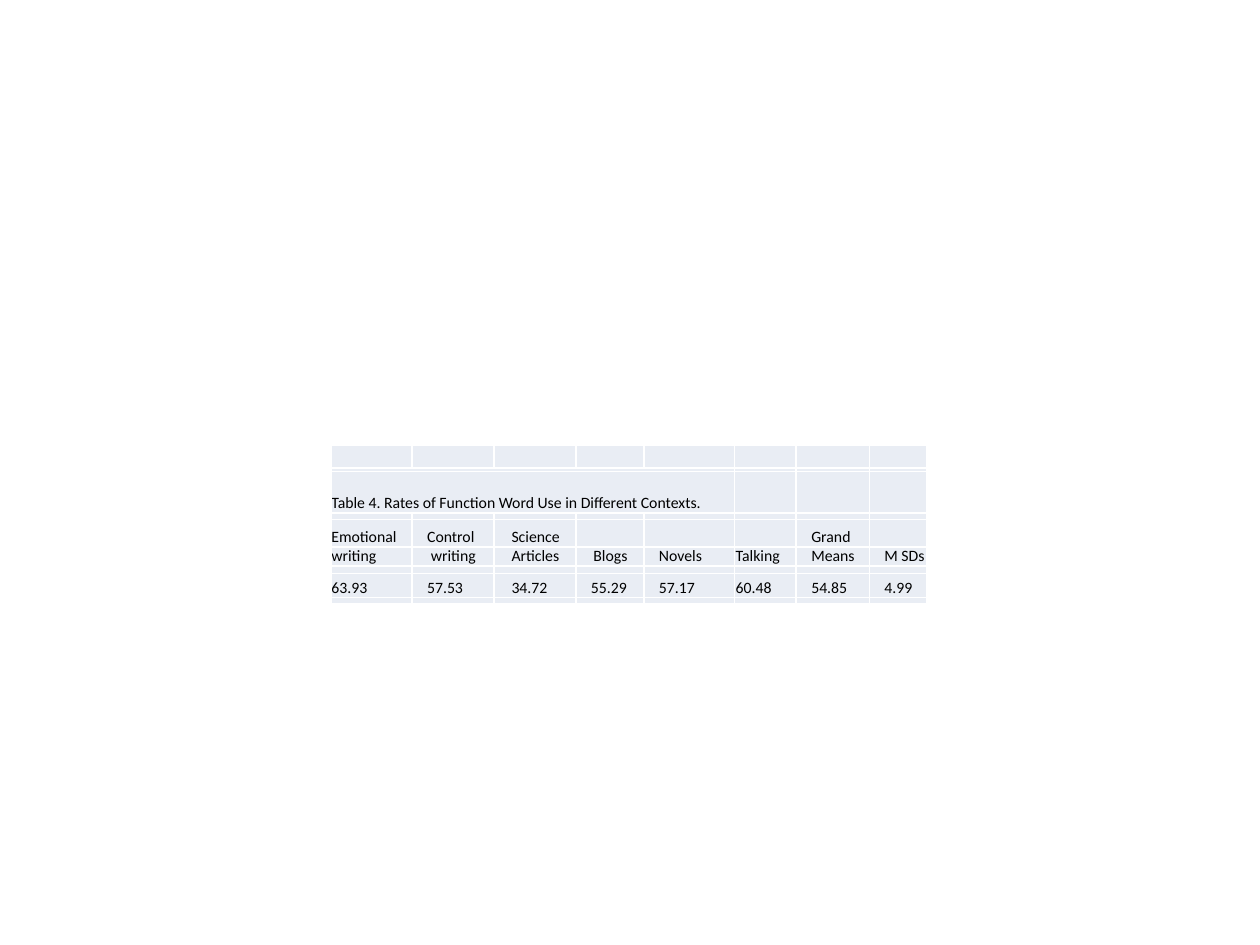
from lxml import etree
from pptx import Presentation, util as u
from pptx.dml.color import RGBColor
from pptx.enum import text
from pptx.oxml import ns

PALE_BLUE = RGBColor(0xE9, 0xED, 0xF4)
WHITE = RGBColor(0xFF, 0xFF, 0xFF)
BLACK = RGBColor(0, 0, 0)
SLIDE_WIDTH, SLIDE_HEIGHT = u.Inches(10), u.Inches(7.5)
TABLE_LEFT, TABLE_TOP = 0.263, 0.471
COLUMN_WIDTHS = [0.64, 0.65, 0.65, 0.54, 0.72, 0.49, 0.58, 0.46]
ROW_HEIGHTS = [0.18, 0.03, 0.33, 0.05, 0.22, 0.15, 0.06, 0.19, 0.05]
INDENTS = [0, 0.12, 0.14, 0.12, 0.12, 0.01, 0.12, 0.12]
CAPTION = "Table 4. Rates of Function Word Use in Different Contexts."
CAPTION_ROW, CAPTION_SPAN = 2, 5
CONTENT = {
    4: ["Emotional", "Control", "Science", "", "", "", "Grand", ""],
    5: ["writing", "writing", "Articles", "Blogs", "Novels", "Talking",
        "Means", "M SDs"],
    7: ["63.93", "57.53", "34.72", "55.29", "57.17", "60.48", "54.85", "4.99"],
}
SPECIAL_INDENTS = {(5, 1): 0.15, (5, 3): 0.14}


def add_borders(cell, color=WHITE, width=1):
    """Draw a solid line on each side of a cell."""
    properties = cell._tc.get_or_add_tcPr()
    for side in ("a:lnL", "a:lnR", "a:lnT", "a:lnB"):
        line = etree.SubElement(properties, ns.qn(side), w=str(u.Pt(width)))
        solid = etree.SubElement(line, ns.qn("a:solidFill"))
        etree.SubElement(solid, ns.qn("a:srgbClr"), val=str(color))


def style_cell(cell):
    """Give a cell its borders, fill and zero margins."""
    add_borders(cell)
    cell.fill.solid()
    cell.fill.fore_color.rgb = PALE_BLUE
    cell.margin_left = cell.margin_right = 0
    cell.margin_top = cell.margin_bottom = 0
    cell.vertical_anchor = text.MSO_ANCHOR.BOTTOM


def write(cell, words, size=9, font="Calibri", color=BLACK, spacing=10.3,
          indent=0):
    """Write formatted words in a cell; empty cells get a tiny line."""
    paragraph = cell.text_frame.paragraphs[0]
    if not words:
        paragraph.line_spacing = u.Pt(1)
        etree.SubElement(paragraph._p, ns.qn("a:endParaRPr"), sz="100")
        return
    paragraph.line_spacing = u.Pt(spacing)
    if indent:
        properties = paragraph._p.get_or_add_pPr()
        properties.set("marL", str(u.Inches(indent)))
        properties.set("indent", "0")
    run = paragraph.add_run()
    run.text = words
    run.font.size = u.Pt(size)
    run.font.name = font
    run.font.color.rgb = color


def add_rates_table(slide):
    """Add the table of function word rates."""
    frame = slide.shapes.add_table(
        len(ROW_HEIGHTS), len(COLUMN_WIDTHS),
        int(SLIDE_WIDTH * TABLE_LEFT), int(SLIDE_HEIGHT * TABLE_TOP),
        u.Inches(sum(COLUMN_WIDTHS)), u.Inches(sum(ROW_HEIGHTS)))
    rates = frame.table
    rates.first_row = rates.horz_banding = False
    for column, width in zip(rates.columns, COLUMN_WIDTHS):
        column.width = u.Inches(width)
    for row, height in zip(rates.rows, ROW_HEIGHTS):
        row.height = u.Inches(height)

    for r in range(len(ROW_HEIGHTS)):
        for c, indent in enumerate(INDENTS):
            cell = rates.cell(r, c)
            style_cell(cell)
            if r == CAPTION_ROW and c == 0:
                words = CAPTION
            else:
                words = CONTENT[r][c] if r in CONTENT else ""
            write(cell, words, indent=SPECIAL_INDENTS.get((r, c), indent))
    for r in (CAPTION_ROW - 1, CAPTION_ROW):
        rates.cell(r, 0).merge(rates.cell(r, CAPTION_SPAN - 1))


def main():
    """Build and save the slide."""
    deck = Presentation()
    deck.slide_width, deck.slide_height = SLIDE_WIDTH, SLIDE_HEIGHT
    slide = deck.slides.add_slide(deck.slide_layouts[6])
    add_rates_table(slide)
    deck.save("out.pptx")


main()
